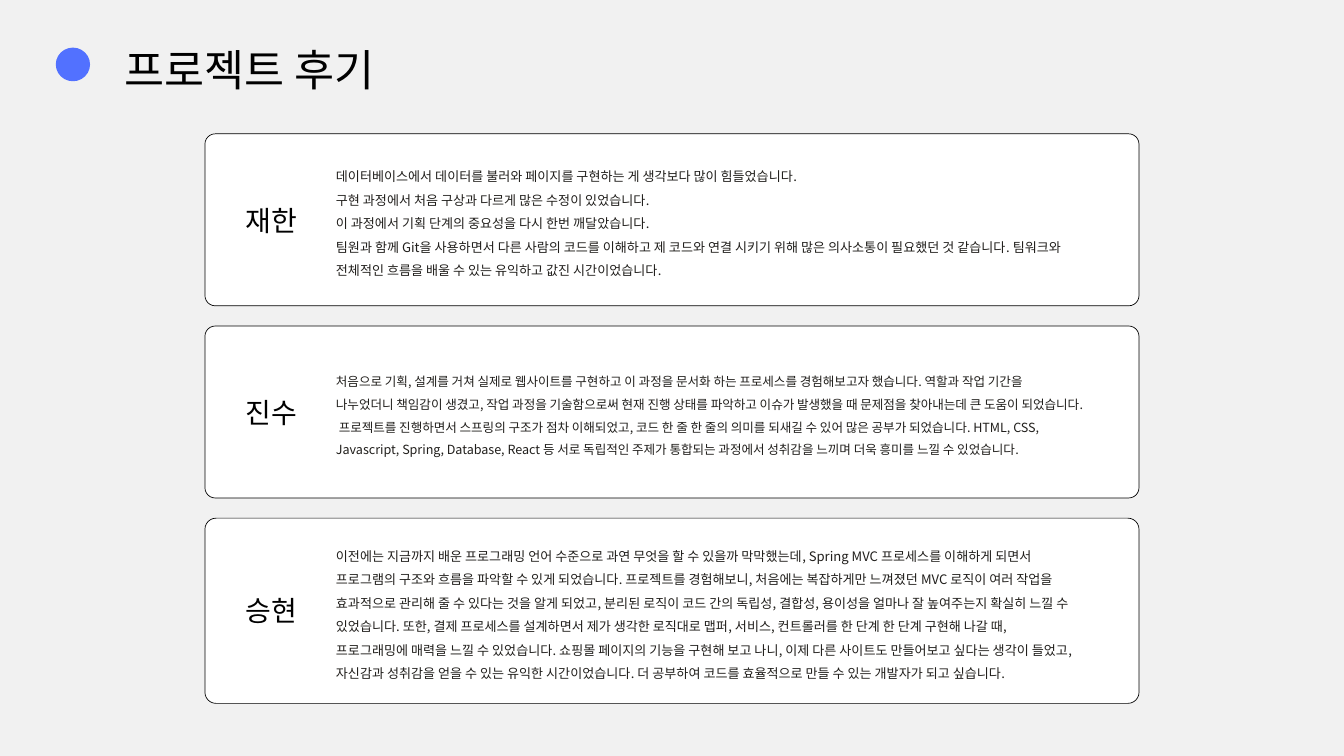
"""Builds the project review slide with one card per team member."""
from dataclasses import dataclass
from typing import NamedTuple

from pptx import Presentation
from pptx.dml.color import RGBColor
from pptx.enum.shapes import MSO_SHAPE as Preset
from pptx.enum.text import MSO_ANCHOR as Anchor, PP_ALIGN as Align
from pptx.util import Inches, Pt

WIDTH, HEIGHT = Inches(20), Inches(11.25)
COLUMN, ROW = WIDTH / 100, HEIGHT / 100


@dataclass(frozen=True)
class Theme:
    font: str = "Noto Sans CJK KR"
    background: RGBColor = RGBColor(0xF1, 0xF1, 0xF1)
    card: RGBColor = RGBColor(0xFF, 0xFF, 0xFF)
    accent: RGBColor = RGBColor(0x52, 0x71, 0xFF)
    ink: RGBColor = RGBColor(0, 0, 0)
    body_ink: RGBColor = RGBColor(0x21, 0x1F, 0x1C)
    title_size: float = 46.6
    name_size: float = 30
    outline: float = 0.75


class Box(NamedTuple):
    column: float
    row: float
    columns: float
    rows: float

    def lengths(self) -> list[int]:
        units = (COLUMN, ROW, COLUMN, ROW)
        return [round(value * unit) for value, unit in zip(self, units)]


class Review(NamedTuple):
    name: str
    card_rows: float
    body_columns: float
    body_rows: float
    body_size: float
    paragraphs: tuple[str, ...]


THEME = Theme()
CARD_COLUMN, CARD_COLUMNS = 15.25, 69.5
FIRST_CARD_ROW, CARD_GAP = 17.7, 2.67
NAME_COLUMN, NAME_COLUMNS, NAME_ROWS = 16.65, 7.1, 5.4
BODY_COLUMN = 25

REVIEWS = (
    Review("재한", 22.75, 54.15, 15.3, 14, (
        "데이터베이스에서 데이터를 불러와 페이지를 구현하는 게 생각보다 많이 힘들었습니다.",
        "구현 과정에서 처음 구상과 다르게 많은 수정이 있었습니다.",
        "이 과정에서 기획 단계의 중요성을 다시 한번 깨달았습니다.",
        "팀원과 함께 Git을 사용하면서 다른 사람의 코드를 이해하고 제 코드와 연결 시키기 위해 "
        "많은 의사소통이 필요했던 것 같습니다. 팀워크와 전체적인 흐름을 배울 수 있는 유익하고 "
        "값진 시간이었습니다.",
    )),
    Review("진수", 22.75, 55.5, 14.75, 13.5, (
        "처음으로 기획, 설계를 거쳐 실제로 웹사이트를 구현하고 이 과정을 문서화 하는 프로세스를 "
        "경험해보고자 했습니다. 역할과 작업 기간을 나누었더니 책임감이 생겼고, 작업 과정을 "
        "기술함으로써 현재 진행 상태를 파악하고 이슈가 발생했을 때 문제점을 찾아내는데 큰 도움이 "
        "되었습니다. 프로젝트를 진행하면서 스프링의 구조가 점차 이해되었고, 코드 한 줄 한 줄의 "
        "의미를 되새길 수 있어 많은 공부가 되었습니다. HTML, CSS, Javascript, Spring, Database, "
        "React 등 서로 독립적인 주제가 통합되는 과정에서 성취감을 느끼며 더욱 흥미를 느낄 수 "
        "있었습니다.",
    )),
    Review("승현", 24.5, 55.5, 18.5, 14, (
        "이전에는 지금까지 배운 프로그래밍 언어 수준으로 과연 무엇을 할 수 있을까 막막했는데, "
        "Spring MVC 프로세스를 이해하게 되면서 프로그램의 구조와 흐름을 파악할 수 있게 되었습니다. "
        "프로젝트를 경험해보니, 처음에는 복잡하게만 느껴졌던 MVC 로직이 여러 작업을 효과적으로 "
        "관리해 줄 수 있다는 것을 알게 되었고, 분리된 로직이 코드 간의 독립성, 결합성, 용이성을 "
        "얼마나 잘 높여주는지 확실히 느낄 수 있었습니다. 또한, 결제 프로세스를 설계하면서 제가 "
        "생각한 로직대로 맵퍼, 서비스, 컨트롤러를 한 단계 한 단계 구현해 나갈 때, 프로그래밍에 "
        "매력을 느낄 수 있었습니다. 쇼핑몰 페이지의 기능을 구현해 보고 나니, 이제 다른 사이트도 "
        "만들어보고 싶다는 생각이 들었고, 자신감과 성취감을 얻을 수 있는 유익한 시간이었습니다. "
        "더 공부하여 코드를 효율적으로 만들 수 있는 개발자가 되고 싶습니다.",
    )),
)


def set_attributes(target, values: dict) -> None:
    for name, value in values.items():
        setattr(target, name, value)


def add_panel(slide, preset: Preset, box: Box, color: RGBColor):
    shape = slide.shapes.add_shape(preset, *box.lengths())
    shape.shadow.inherit = False
    shape.fill.solid()
    shape.fill.fore_color.rgb = color
    shape.line.fill.background()
    return shape


def add_text(slide, box: Box, paragraphs: tuple[str, ...], size: float, color: RGBColor,
             frame_format: dict, paragraph_format: dict) -> None:
    frame = slide.shapes.add_textbox(*box.lengths()).text_frame
    margins = dict.fromkeys(("margin_left", "margin_top", "margin_right", "margin_bottom"), 0)
    set_attributes(frame, margins | {"word_wrap": True} | frame_format)
    for index, text in enumerate(paragraphs):
        paragraph = frame.add_paragraph() if index else frame.paragraphs[0]
        set_attributes(paragraph, paragraph_format)
        run = paragraph.add_run()
        run.text = text
        set_attributes(run.font, {"name": THEME.font, "size": Pt(size)})
        run.font.color.rgb = color


def add_review(slide, review: Review, row: float) -> None:
    card_box = Box(CARD_COLUMN, row, CARD_COLUMNS, review.card_rows)
    card = add_panel(slide, Preset.ROUNDED_RECTANGLE, card_box, THEME.card)
    card.adjustments[0] = 0.06
    card.line.color.rgb = THEME.ink
    card.line.width = Pt(THEME.outline)

    middle = row + review.card_rows / 2
    centered = {"vertical_anchor": Anchor.MIDDLE}
    name_box = Box(NAME_COLUMN, middle - NAME_ROWS / 2, NAME_COLUMNS, NAME_ROWS)
    add_text(slide, name_box, (review.name,), THEME.name_size, THEME.ink,
             centered, {"alignment": Align.CENTER})
    body_box = Box(BODY_COLUMN, middle - review.body_rows / 2,
                   review.body_columns, review.body_rows)
    add_text(slide, body_box, review.paragraphs, review.body_size, THEME.body_ink,
             centered, {"line_spacing": 1.5})


def main() -> None:
    presentation = Presentation()
    set_attributes(presentation, {"slide_width": WIDTH, "slide_height": HEIGHT})
    slide = presentation.slides.add_slide(presentation.slide_layouts[6])

    add_panel(slide, Preset.RECTANGLE, Box(0, 0, 100, 100), THEME.background)
    add_text(slide, Box(9.3, 4.2, 41.95, 8), ("프로젝트 후기",), THEME.title_size,
             THEME.ink, {}, {"line_spacing": Pt(68.5)})
    add_panel(slide, Preset.OVAL, Box(4.15, 6.3, 2.55, 4.45), THEME.accent)

    row = FIRST_CARD_ROW
    for review in REVIEWS:
        add_review(slide, review, row)
        row += review.card_rows + CARD_GAP
    presentation.save("out.pptx")


if __name__ == "__main__":
    main()
